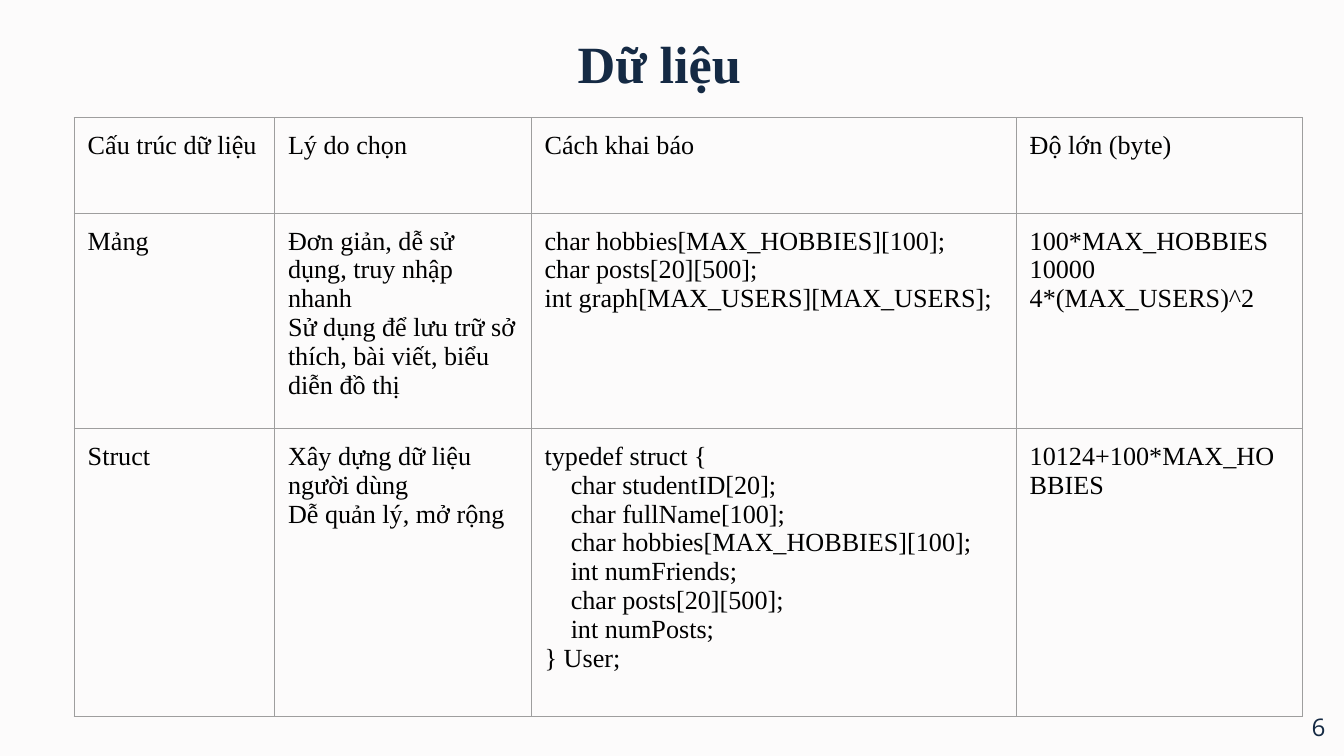
from dataclasses import dataclass

from lxml import etree
from pptx import Presentation
from pptx.dml.color import RGBColor
from pptx.enum.text import MSO_ANCHOR, PP_ALIGN
from pptx.oxml.ns import qn
from pptx.util import Pt

CENTER, RIGHT = PP_ALIGN.CENTER, PP_ALIGN.RIGHT
MIDDLE, BOTTOM = MSO_ANCHOR.MIDDLE, MSO_ANCHOR.BOTTOM


@dataclass(frozen=True)
class Theme:
    background: str = "FCFBFB"
    navy: str = "152A44"
    ink: str = "000000"
    rule: str = "9E9E9E"
    serif: str = "Times New Roman"
    sans: str = "Open Sans"
    title_size: float = 28
    body_size: float = 14
    number_size: float = 13
    rule_width: float = 0.75
    inset: float = 7.2


THEME = Theme()
COLUMN_WIDTHS = [107.3, 137.5, 259.9, 153.4]
ROW_HEIGHTS = [51.2, 107.4, 154.4]

STRUCT_CODE = """typedef struct {
    char studentID[20];
    char fullName[100];
    char hobbies[MAX_HOBBIES][100];
    int numFriends;
    char posts[20][500];
    int numPosts;
} User;"""

ROWS = [
    ["Cấu trúc dữ liệu", "Lý do chọn", "Cách khai báo", "Độ lớn (byte)"],
    [
        "Mảng",
        "Đơn giản, dễ sử dụng, truy nhập nhanh\n"
        "Sử dụng để lưu trữ sở thích, bài viết, biểu diễn đồ thị",
        "char hobbies[MAX_HOBBIES][100];\n"
        "char posts[20][500];\n"
        "int graph[MAX_USERS][MAX_USERS];",
        "100*MAX_HOBBIES\n10000\n4*(MAX_USERS)^2",
    ],
    [
        "Struct",
        "Xây dựng dữ liệu người dùng\nDễ quản lý, mở rộng",
        STRUCT_CODE,
        "10124+100*MAX_HOBBIES",
    ],
]


def set_font(para, name, size, color, bold=False):
    para.font.name = name
    para.font.size = Pt(size)
    para.font.bold = bold
    para.font.color.rgb = RGBColor.from_string(color)


def set_insets(holder, right=THEME.inset, bottom=THEME.inset):
    holder.margin_left = holder.margin_top = Pt(THEME.inset)
    holder.margin_right = Pt(right)
    holder.margin_bottom = Pt(bottom)


def add_label(page, box, text, align, anchor):
    frame = page.shapes.add_textbox(*map(Pt, box)).text_frame
    frame.word_wrap = True
    frame.vertical_anchor = anchor
    set_insets(frame)
    para = frame.paragraphs[0]
    para.text = text
    para.alignment = align
    return frame


def add_title(page, box):
    frame = add_label(page, box, "Dữ liệu", CENTER, BOTTOM)
    set_insets(frame, right=21.2, bottom=5)
    set_font(frame.paragraphs[0], THEME.serif, THEME.title_size, THEME.navy, True)


def add_page_number(page, box):
    frame = add_label(page, box, "6", RIGHT, MIDDLE)
    set_font(frame.paragraphs[0], THEME.sans, THEME.number_size, THEME.navy)


def add_borders(cell):
    properties = cell._tc.get_or_add_tcPr()
    for side in ("lnL", "lnR", "lnT", "lnB"):
        line = etree.SubElement(properties, qn(f"a:{side}"), w=str(Pt(THEME.rule_width)))
        fill = etree.SubElement(line, qn("a:solidFill"))
        etree.SubElement(fill, qn("a:srgbClr"), val=THEME.rule)


def fill_cell(cell, text):
    set_insets(cell)
    add_borders(cell)
    cell.fill.background()
    cell.text = text
    for para in cell.text_frame.paragraphs:
        set_font(para, THEME.serif, THEME.body_size, THEME.ink)


def add_data_table(page, left, top):
    table = page.shapes.add_table(
        len(ROW_HEIGHTS), len(COLUMN_WIDTHS), Pt(left), Pt(top),
        Pt(sum(COLUMN_WIDTHS)), Pt(sum(ROW_HEIGHTS)),
    ).table
    table.first_row = table.horz_banding = False
    for column, width in zip(table.columns, COLUMN_WIDTHS):
        column.width = Pt(width)
    for row, height, texts in zip(table.rows, ROW_HEIGHTS, ROWS):
        row.height = Pt(height)
        for cell, text in zip(row.cells, texts):
            fill_cell(cell, text)


def main():
    deck = Presentation()
    deck.slide_width, deck.slide_height = Pt(720), Pt(405)
    page = deck.slides.add_slide(deck.slide_layouts[6])
    page.background.fill.solid()
    page.background.fill.fore_color.rgb = RGBColor.from_string(THEME.background)
    add_title(page, (231.8, 7.2, 257, 48.2))
    add_data_table(page, 39.8, 63.1)
    add_page_number(page, (673.9, 373.7, 43.2, 31))
    deck.save("out.pptx")


if __name__ == "__main__":
    main()
